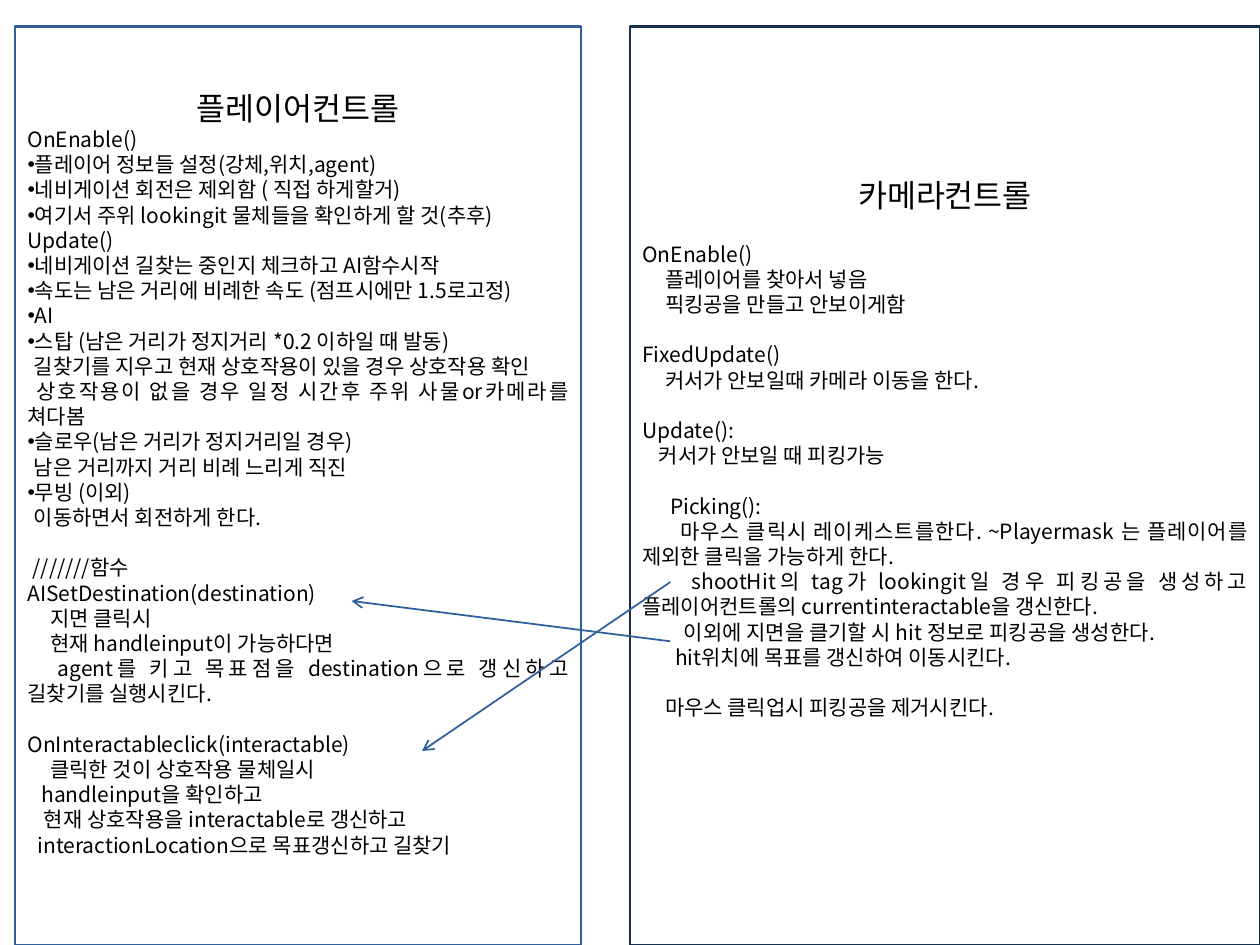
from lxml.etree import SubElement
from pptx import Presentation
from pptx.dml.color import RGBColor
from pptx.enum.shapes import MSO_CONNECTOR as Connector, MSO_SHAPE as Shape
from pptx.enum.text import MSO_ANCHOR as Anchor, PP_ALIGN as Align
from pptx.oxml.ns import qn
from pptx.util import Inches, Pt

FONT = "Noto Sans CJK KR"
COLORS = {"text": "000000", "player": "315F97", "camera": "182F4B", "arrow": "2E5F9A"}
LINE_HEIGHT = 1.2
BODY_SIZE = 12
PANEL_TOP, PANEL_HEIGHT = 0.21, 7.29
BULLET = "bullet"

# Each group is separated by one line; each entry is (first-line indent or BULLET, text).
PLAYER_GROUPS = [
    [
        (0, "OnEnable()"),
        (BULLET, "플레이어 정보들 설정(강체,위치,agent)"),
        (BULLET, "네비게이션 회전은 제외함 ( 직접 하게할거)"),
        (BULLET, "여기서 주위 lookingit 물체들을 확인하게 할 것(추후)"),
        (0, "Update()"),
        (BULLET, "네비게이션 길찾는 중인지 체크하고 AI함수시작"),
        (BULLET, "속도는 남은 거리에 비례한 속도 (점프시에만 1.5로고정)"),
        (BULLET, "AI"),
        (BULLET, "스탑 (남은 거리가 정지거리 *0.2 이하일 때 발동)"),
        (0.05, "길찾기를 지우고 현재 상호작용이 있을 경우 상호작용 확인"),
        (0.07, "상호작용이 없을 경우 일정 시간후 주위 사물or카메라를 쳐다봄"),
        (BULLET, "슬로우(남은 거리가 정지거리일 경우)"),
        (0.05, "남은 거리까지 거리 비례 느리게 직진"),
        (BULLET, "무빙 (이외)"),
        (0.05, "이동하면서 회전하게 한다."),
    ],
    [
        (0.04, "///////함수"),
        (0, "AISetDestination(destination)"),
        (0.18, "지면 클릭시"),
        (0.18, "현재 handleinput이 가능하다면"),
        (0.24, "agent를 키고 목표점을 destination으로 갱신하고 길찾기를 실행시킨다."),
    ],
    [
        (0, "OnInteractableclick(interactable)"),
        (0.18, "클릭한 것이 상호작용 물체일시"),
        (0.11, "handleinput을 확인하고"),
        (0.13, "현재 상호작용을 interactable로 갱신하고"),
        (0.08, "interactionLocation으로 목표갱신하고 길찾기"),
    ],
]
CAMERA_GROUPS = [
    [
        (0, "OnEnable()"),
        (0.18, "플레이어를 찾아서 넣음"),
        (0.18, "픽킹공을 만들고 안보이게함"),
    ],
    [(0, "FixedUpdate()"), (0.18, "커서가 안보일때 카메라 이동을 한다.")],
    [(0, "Update():"), (0.13, "커서가 안보일 때 피킹가능")],
    [
        (0.22, "Picking():"),
        (0.3, "마우스 클릭시 레이케스트를한다. ~Playermask 는 플레이어를 "
              "제외한 클릭을 가능하게 한다."),
        (0.39, "shootHit의 tag가 lookingit일 경우 피킹공을 생성하고 "
               "플레이어컨트롤의 currentinteractable을 갱신한다."),
        (0.33, "이외에 지면을 클기할 시 hit 정보로 피킹공을 생성한다."),
        (0.26, "hit위치에 목표를 갱신하여 이동시킨다."),
    ],
    [(0.18, "마우스 클릭업시 피킹공을 제거시킨다.")],
]


def add_text(paragraph, text, size, alignment, space_before=0):
    """Write one run and format its paragraph."""
    paragraph.alignment = alignment
    paragraph.line_spacing = Pt(size * LINE_HEIGHT)
    paragraph.space_before = Pt(space_before)
    run = paragraph.add_run()
    run.text = text
    run.font.size = Pt(size)
    run.font.name = FONT
    run.font.color.rgb = RGBColor.from_string(COLORS["text"])
    SubElement(run.font._element, qn("a:ea"), typeface=FONT)


def set_indent(paragraph, indent):
    """Give a paragraph a bullet or a first-line indent."""
    properties = paragraph._p.get_or_add_pPr()
    bulleted = indent == BULLET
    properties.set("marL", "0")
    properties.set("indent", str(0 if bulleted else Inches(indent)))
    if bulleted:
        SubElement(properties, qn("a:buFont"), typeface="Arial")
        SubElement(properties, qn("a:buChar"), char="•")
    else:
        SubElement(properties, qn("a:buNone"))


def add_panel(slide, left, width, color, title, groups, title_gap, bottom_inset):
    """Add an outlined panel with a heading and groups of lines."""
    panel = slide.shapes.add_shape(Shape.RECTANGLE, Inches(left), Inches(PANEL_TOP),
                                   Inches(width), Inches(PANEL_HEIGHT))
    panel.shadow.inherit = False
    panel.fill.background()
    panel.line.color.rgb = RGBColor.from_string(COLORS[color])
    panel.line.width = Pt(1.5)
    frame = panel.text_frame
    frame.word_wrap = True
    frame.vertical_anchor = Anchor.MIDDLE
    frame.margin_bottom = Inches(bottom_inset)
    add_text(frame.paragraphs[0], title, 18, Align.CENTER)
    gap = title_gap
    for group in groups:
        for indent, text in group:
            paragraph = frame.add_paragraph()
            add_text(paragraph, text, BODY_SIZE, Align.JUSTIFY, gap)
            set_indent(paragraph, indent)
            gap = 0
        gap = BODY_SIZE * LINE_HEIGHT


def add_arrow(slide, start, end):
    """Add a thin line with an open arrowhead at its end."""
    arrow = slide.shapes.add_connector(Connector.STRAIGHT, *map(Inches, start + end))
    arrow.line.color.rgb = RGBColor.from_string(COLORS["arrow"])
    arrow.line.width = Pt(1)
    SubElement(arrow.line._get_or_add_ln(), qn("a:tailEnd"), type="arrow")
    SubElement(arrow._element.spPr, qn("a:effectLst"))


def main():
    """Build the slide and save it."""
    presentation = Presentation()
    presentation.slide_width = Inches(10)
    presentation.slide_height = Inches(7.5)
    slide = presentation.slides.add_slide(presentation.slide_layouts[6])
    add_panel(slide, 0.12, 4.49, "player", "플레이어컨트롤", PLAYER_GROUPS, 0, 0.25)
    add_panel(slide, 5, 5, "camera", "카메라컨트롤", CAMERA_GROUPS, 15.6, 0.65)
    add_arrow(slide, (5.32, 4.62), (3.35, 5.96))
    add_arrow(slide, (5.32, 5.09), (2.79, 4.77))
    presentation.save("out.pptx")


main()
